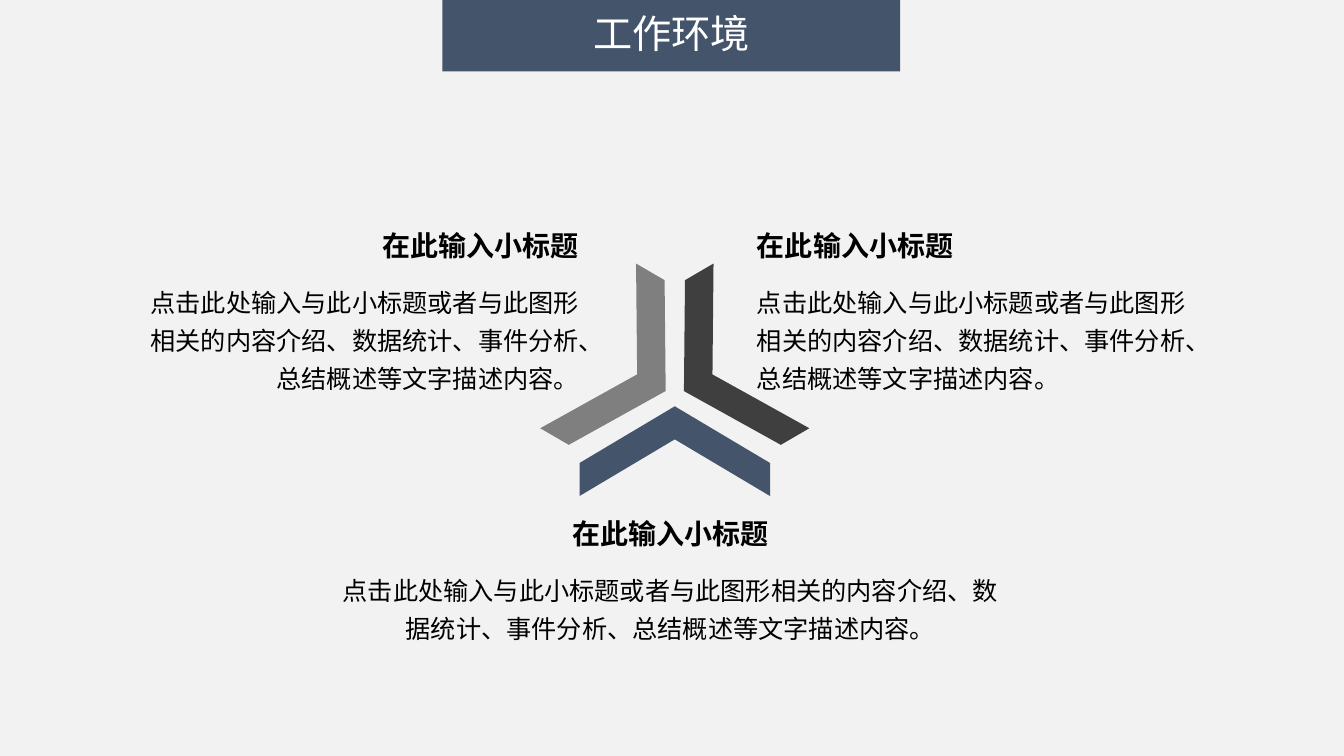
import pptx
import pptx.util
import pptx.dml.color
import pptx.enum.shapes
import pptx.enum.text
import pptx.oxml.ns
import lxml.etree

Pt = pptx.util.Pt
ALIGN = pptx.enum.text.PP_ALIGN
ANCHOR = pptx.enum.text.MSO_ANCHOR
SHAPE = pptx.enum.shapes.MSO_SHAPE

FONT = "Noto Sans CJK SC"
BLUE, GRAY, DARK = "44546A", "7F7F7F", "3F3F3F"
HEAD = "在此输入小标题"
BODY = "点击此处输入与此小标题或者与此图形相关的内容介绍、数据统计、事件分析、总结概述等文字描述内容。"


def paint(target, color):
    """Give a solid fill or a font its colour."""
    if hasattr(target, "solid"):
        target.solid()
        target = target.fore_color
    else:
        target = target.color
    target.rgb = pptx.dml.color.RGBColor.from_string(color)


def write(para, text, size, color, align, space, bold=False):
    """Add one run to a paragraph and format both."""
    para.alignment = align
    para.line_spacing = space
    run = para.add_run()
    run.text = text
    run.font.size = Pt(size)
    run.font.bold = bold
    paint(run.font, color)
    run.font.name = FONT
    east = lxml.etree.SubElement(run.font._element, pptx.oxml.ns.qn("a:ea"))
    east.set("typeface", FONT)


def add_solid(slide, kind, color, left, top, width, height):
    shape = slide.shapes.add_shape(kind, Pt(left), Pt(top), Pt(width), Pt(height))
    shape.shadow.inherit = False
    paint(shape.fill, color)
    shape.line.fill.background()
    return shape


def add_text(slide, text, size, align, left, top, width, height, bold=False):
    frame = slide.shapes.add_textbox(Pt(left), Pt(top), Pt(width), Pt(height)).text_frame
    frame.word_wrap = True
    frame.auto_size = pptx.enum.text.MSO_AUTO_SIZE.SHAPE_TO_FIT_TEXT
    frame.margin_left = frame.margin_right = 0
    write(frame.paragraphs[0], text, size, "000000", align, 1.25, bold)


# Title on its banner
def add_title(slide, left, top, width, height):
    title = slide.shapes.title
    banner = add_solid(slide, SHAPE.RECTANGLE, BLUE, left, top, width, height)
    title.element.addprevious(banner.element)
    title.left, title.top = Pt(left + 40), Pt(top + 6.5)
    title.width, title.height = Pt(width - 80), Pt(height - 13)
    frame = title.text_frame
    frame.word_wrap = False
    frame.vertical_anchor = ANCHOR.MIDDLE
    write(frame.paragraphs[0], "工作环境", 28, "FFFFFF", ALIGN.CENTER, 0.9)


# Three chevrons meeting at a point
def add_star(slide, left, top, width, height):
    wide, tall = 64.1, 136.1
    mid = left + width / 2
    upper, lower = top + 75.2, top + height - wide / 2
    arms = [
        (mid, lower, 270, BLUE),
        (mid - 34.2, upper, 30.2, GRAY),
        (mid + 34.2, upper, 149.8, DARK),
    ]
    for x, y, turn, color in arms:
        arm = add_solid(slide, SHAPE.CHEVRON, color, x - wide / 2, y - tall / 2, wide, tall)
        arm.adjustments[0] = 0.632
        arm.rotation = turn


# Small heading above a paragraph
def add_note(slide, align, left, top, width, height):
    span, drop = 263.5, 42.5
    share = {ALIGN.LEFT: 0, ALIGN.CENTER: 0.5, ALIGN.RIGHT: 1}[align]
    add_text(slide, BODY, 18, align, left, top + drop, width, height - drop)
    add_text(slide, HEAD, 20, align, left + (width - span) * share, top, span, 34.6, True)


def main():
    deck = pptx.Presentation()
    deck.slide_width, deck.slide_height = Pt(960), Pt(540)
    slide = deck.slides.add_slide(deck.slide_layouts[5])
    paint(slide.background.fill, "F2F2F2")

    add_title(slide, 316.1, 0, 327, 51)
    add_star(slide, 385.7, 188, 192.6, 166.3)
    add_note(slide, ALIGN.RIGHT, 95, 154, 318.5, 129)
    add_note(slide, ALIGN.LEFT, 540.7, 154, 318.5, 129)
    add_note(slide, ALIGN.CENTER, 237.6, 359.3, 482.4, 101.5)

    deck.save("out.pptx")


if __name__ == "__main__":
    main()
